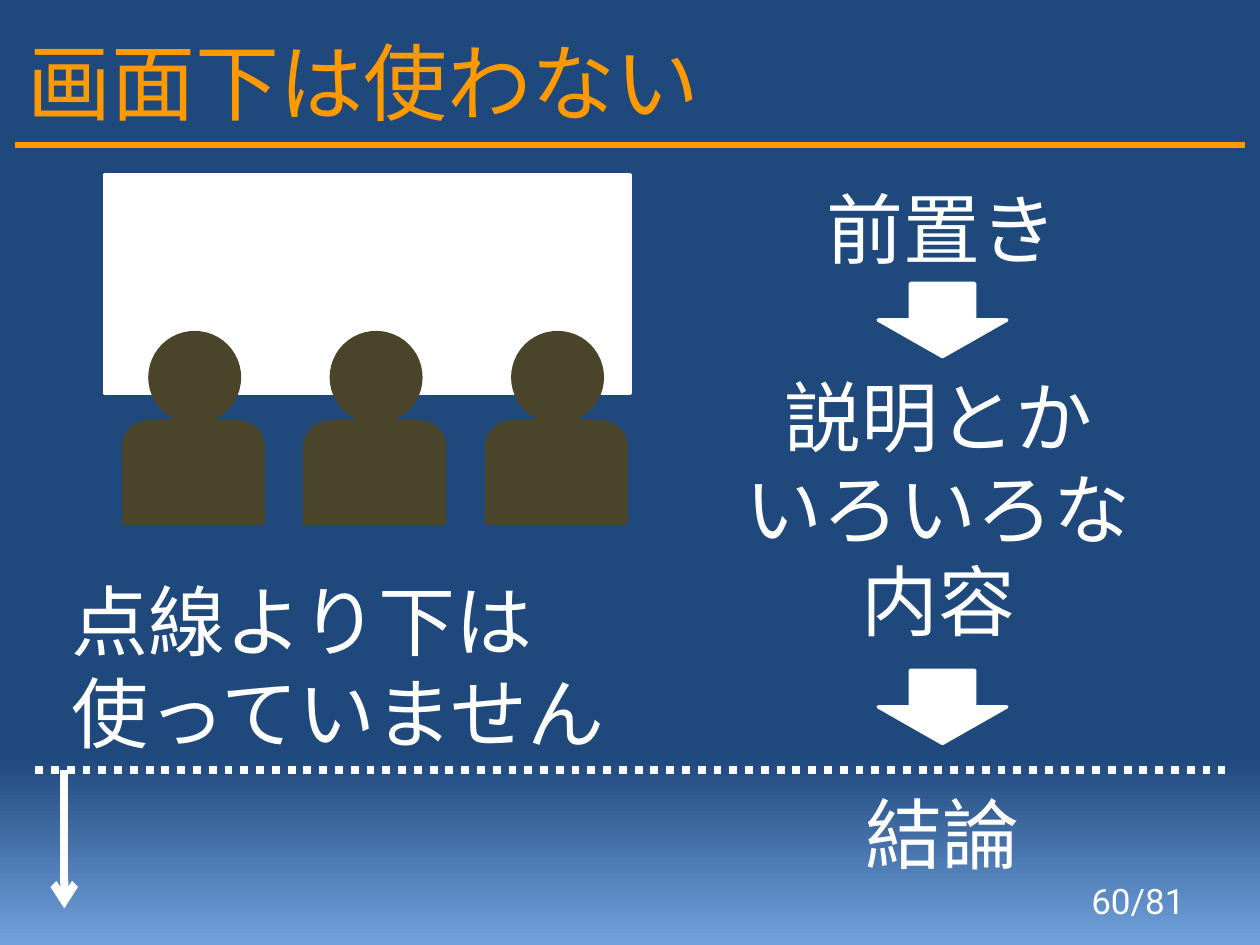
from copy import deepcopy
from dataclasses import dataclass

from lxml import etree
from pptx import Presentation
from pptx.dml.color import RGBColor
from pptx.enum.dml import MSO_LINE
from pptx.enum.shapes import MSO_CONNECTOR, MSO_SHAPE
from pptx.enum.text import MSO_ANCHOR, MSO_AUTO_SIZE, PP_ALIGN
from pptx.oxml.ns import qn
from pptx.util import Inches, Pt

RECT, OVAL, DOWN = MSO_SHAPE.RECTANGLE, MSO_SHAPE.OVAL, MSO_SHAPE.DOWN_ARROW
STRAIGHT = MSO_CONNECTOR.STRAIGHT
LEFT, CENTER, RIGHT = PP_ALIGN.LEFT, PP_ALIGN.CENTER, PP_ALIGN.RIGHT
TOP, MIDDLE = MSO_ANCHOR.TOP, MSO_ANCHOR.MIDDLE
DOTTED = MSO_LINE.ROUND_DOT  # written as sysDot


@dataclass(frozen=True)
class Theme:
    navy: RGBColor = RGBColor(0x1F, 0x49, 0x7D)
    sky: RGBColor = RGBColor(0x71, 0xA1, 0xDC)
    orange: RGBColor = RGBColor(0xFF, 0x99, 0x00)
    white: RGBColor = RGBColor(0xFF, 0xFF, 0xFF)
    olive: RGBColor = RGBColor(0x4A, 0x45, 0x2A)
    title_font: str = "Calibri"
    font: str = "Roboto"
    title_size: float = 48
    text_size: float = 44
    page_size: float = 20
    outline: float = 2
    rule: float = 3.5
    marker: float = 4.5


THEME = Theme()


@dataclass(frozen=True)
class Box:
    left: float
    top: float
    width: float
    height: float

    def emu(self) -> tuple:
        return tuple(map(Inches, (self.left, self.top, self.width, self.height)))


@dataclass(frozen=True)
class Label:
    text: str
    box: Box
    align: PP_ALIGN = CENTER
    anchor: MSO_ANCHOR = TOP
    size: float = THEME.text_size
    font: str = THEME.font
    color: RGBColor = THEME.white
    grow: bool = False


@dataclass(frozen=True)
class Part:
    kind: MSO_SHAPE
    box: Box


LABELS = [
    Label("画面下は使わない", Box(0.12, 0.21, 9.38, 0.87), LEFT, MIDDLE,
          THEME.title_size, THEME.title_font, THEME.orange),
    Label("点線より下は\n使っていません", Box(0.47, 4.5, 4.49, 1.65), LEFT),
    Label("前置き", Box(5.71, 1.39, 3.54, 0.84), grow=True),
    Label("説明とか\nいろいろな\n内容", Box(5.68, 2.88, 3.54, 2.32), grow=True),
    Label("結論", Box(5.71, 6.19, 3.54, 0.84), grow=True),
    Label("60/81", Box(7.17, 6.95, 2.33, 0.4), RIGHT, MIDDLE, THEME.page_size),
]

# One viewer, measured from the left and top of the figure
VIEWER = [
    Part(OVAL, Box(0.21, 0, 0.71, 0.71)),
    Part(RECT, Box(0.2, 0.71, 0.71, 0.79)),
    Part(OVAL, Box(0, 0.71, 0.4, 0.4)),
    Part(OVAL, Box(0.71, 0.71, 0.4, 0.4)),
    Part(RECT, Box(0, 0.91, 1.11, 0.6)),
]
VIEWER_LEFT, VIEWER_TOP, VIEWER_PITCH, VIEWER_COUNT = 0.98, 2.64, 1.44, 3
ARROW_TOPS = (2.25, 5.32)


def set_background(s) -> None:
    fill = s.background.fill
    fill.gradient()
    fill.gradient_angle = 270
    first = s.element.find(".//" + qn("a:gs"))
    first.addnext(deepcopy(first))
    stops = ((0, THEME.navy), (0.8, THEME.navy), (1, THEME.sky))
    for stop, (position, color) in zip(fill.gradient_stops, stops):
        stop.position = position
        stop.color.rgb = color


def add_label(s, label: Label) -> None:
    tf = s.shapes.add_textbox(*label.box.emu()).text_frame
    tf.word_wrap = True
    tf.vertical_anchor = label.anchor
    if label.grow:
        tf.auto_size = MSO_AUTO_SIZE.SHAPE_TO_FIT_TEXT
    tf.text = label.text
    for p in tf.paragraphs:
        p.alignment = label.align
        for r in p.runs:
            r.font.size = Pt(label.size)
            r.font.name = label.font
            r.font.color.rgb = label.color


def add_solid(shapes, part: Part, color: RGBColor) -> None:
    sp = shapes.add_shape(part.kind, *part.box.emu())
    sp.shadow.inherit = False
    sp.fill.solid()
    sp.fill.fore_color.rgb = color
    sp.line.color.rgb = color
    sp.line.width = Pt(THEME.outline)


def add_line(s, start: tuple[float, float], end: tuple[float, float],
             color: RGBColor, width: float, dotted: bool = False,
             arrow: bool = False) -> None:
    line = s.shapes.add_connector(STRAIGHT, *map(Inches, start + end))
    line.line.color.rgb = color
    line.line.width = Pt(width)
    if dotted:
        line.line.dash_style = DOTTED
    if arrow:
        etree.SubElement(line.line._get_or_add_ln(), qn("a:tailEnd"), type="arrow")
    etree.SubElement(line._element.spPr, qn("a:effectLst"))


def add_viewer(s, left: float, top: float) -> None:
    group = s.shapes.add_group_shape()
    for part in VIEWER:
        b = part.box
        box = Box(left + b.left, top + b.top, b.width, b.height)
        add_solid(group.shapes, Part(part.kind, box), THEME.olive)


def main() -> None:
    prs = Presentation()
    prs.slide_width, prs.slide_height = Inches(10), Inches(7.5)
    s = prs.slides.add_slide(prs.slide_layouts[6])
    set_background(s)

    # Title rule, dotted limit and the arrow pointing below it
    add_line(s, (0.12, 1.15), (9.88, 1.15), THEME.orange, THEME.rule)
    add_line(s, (0.28, 6.11), (9.72, 6.11), THEME.white, THEME.marker, dotted=True)
    add_line(s, (0.51, 6.11), (0.51, 7.21), THEME.white, THEME.marker, arrow=True)

    for label in LABELS:
        add_label(s, label)

    # Flow arrows between the stages of the talk
    for top in ARROW_TOPS:
        add_solid(s.shapes, Part(DOWN, Box(6.97, top, 1.02, 0.58)), THEME.white)

    # Screen with the audience in front, right to left
    add_solid(s.shapes, Part(RECT, Box(0.83, 1.39, 4.17, 1.73)), THEME.white)
    for i in reversed(range(VIEWER_COUNT)):
        add_viewer(s, VIEWER_LEFT + i * VIEWER_PITCH, VIEWER_TOP)

    prs.save("out.pptx")


if __name__ == "__main__":
    main()
